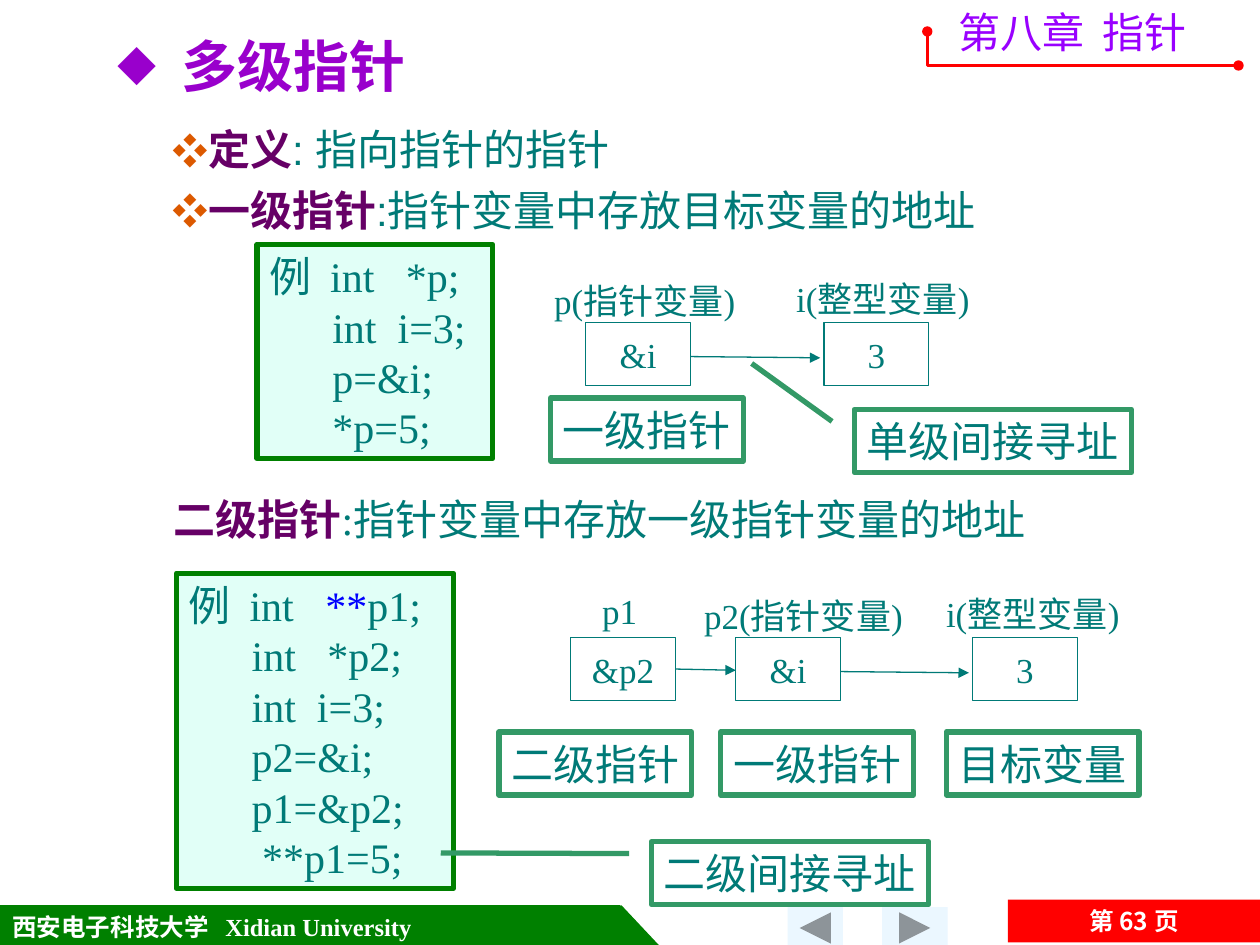
from lxml.etree import SubElement
from pptx import Presentation
from pptx.dml.color import RGBColor
from pptx.enum.shapes import MSO_CONNECTOR, MSO_SHAPE
from pptx.enum.text import MSO_ANCHOR, MSO_AUTO_SIZE, PP_ALIGN
from pptx.oxml.ns import qn
from pptx.util import Pt

PX = 9144  # one hundredth of an inch
SERIF, SANS, CHINESE = "Times New Roman", "Arial", "Noto Sans CJK SC"
TEAL, GREEN, SEA, PLUM = "007A77", "008000", "339966", "660066"
VIOLET, RED, WHITE, MINT = "9900CC", "FF0000", "FFFFFF", "E1FFF7"


def colour(text):
    return RGBColor.from_string(text)


class Slide:
    def __init__(self, page):
        self.page = page

    def paint(self, shape, fill=None, line=None, width=0.75):
        shape.shadow.inherit = False
        if fill:
            shape.fill.solid()
            shape.fill.fore_color.rgb = colour(fill)
        else:
            shape.fill.background()
        if line:
            shape.line.color.rgb = colour(line)
            shape.line.width = Pt(width)
        else:
            shape.line.fill.background()

    def line_ends(self, shape, **ends):
        line = shape.line._get_or_add_ln()
        for end, kind in ends.items():
            SubElement(line, qn(f"a:{end}End"), type=kind)

    def bullet(self, para, char, tint, percent, left, hanging):
        props = para._p.get_or_add_pPr()
        props.set("marL", str(left * PX))
        props.set("indent", str(-hanging * PX))
        SubElement(SubElement(props, qn("a:buClr")), qn("a:srgbClr"), val=tint)
        SubElement(props, qn("a:buSzPct"), val=str(percent * 1000))
        SubElement(props, qn("a:buFont"), typeface=CHINESE)
        SubElement(props, qn("a:buChar"), char=char)

    def set_text(self, shape, lines, size, tint=TEAL, font=SERIF, align=PP_ALIGN.LEFT,
                 anchor=MSO_ANCHOR.TOP, wrap=False, bold=False, before=0, bullet=None, tab=0):
        """Each line is a string or a list of (text, colour, bold) spans."""
        frame = shape.text_frame
        frame.word_wrap = wrap
        frame.auto_size = MSO_AUTO_SIZE.NONE
        frame.vertical_anchor = anchor
        for number, line in enumerate(lines):
            para = frame.paragraphs[0] if number == 0 else frame.add_paragraph()
            para.alignment = align
            para.line_spacing = Pt(size * 1.2)
            para.space_before = Pt(before if number else 0)
            if bullet:
                self.bullet(para, *bullet)
            if tab:
                stops = SubElement(para._p.get_or_add_pPr(), qn("a:tabLst"))
                SubElement(stops, qn("a:tab"), pos=str(tab * PX), algn="l")
            para.font.name, para.font.size = font, Pt(size)
            if isinstance(line, str):
                para.font.bold = bold
                para.font.color.rgb = colour(tint)
                para.add_run().text = line
                continue
            for text, span_tint, span_bold in line:
                span = para.add_run()
                span.text = text
                span.font.bold = span_bold
                span.font.color.rgb = colour(span_tint)

    def title(self, text, x, y, w, h):
        box = self.page.shapes.title
        box.left, box.top, box.width, box.height = (v * PX for v in (x, y, w, h))
        self.set_text(box, [text], 32, VIOLET, SANS, anchor=MSO_ANCHOR.BOTTOM,
                      wrap=True, bold=True, bullet=("◆", VIOLET, 70, 51, 51))

    def text(self, lines, x, y, w, h, size, **style):
        box = self.page.shapes.add_textbox(x * PX, y * PX, w * PX, h * PX)
        self.set_text(box, lines, size, **style)

    def shape(self, kind, x, y, w, h, fill=None, line=None, width=0.75):
        shape = self.page.shapes.add_shape(kind, x * PX, y * PX, w * PX, h * PX)
        self.paint(shape, fill, line, width)
        return shape

    def code(self, lines, x, y, w, h):
        self.set_text(self.shape(MSO_SHAPE.RECTANGLE, x, y, w, h, MINT, GREEN, 3), lines, 24)

    def cell(self, text, x, y):
        box = self.shape(MSO_SHAPE.RECTANGLE, x, y, 83, 50, line=TEAL)
        self.set_text(box, [text], 20, align=PP_ALIGN.CENTER, anchor=MSO_ANCHOR.MIDDLE)

    def tag(self, text, x, y, w=153, pointer=None):
        kind = MSO_SHAPE.LINE_CALLOUT_1 if pointer else MSO_SHAPE.RECTANGLE
        box = self.shape(kind, x, y, w, 50, WHITE, SEA, 3)
        for index, value in enumerate(pointer or ()):
            box.adjustments[index] = value
        self.set_text(box, [text], 24, align=PP_ALIGN.CENTER, anchor=MSO_ANCHOR.MIDDLE)

    def arrow(self, *ends):
        line = self.page.shapes.add_connector(MSO_CONNECTOR.STRAIGHT, *(v * PX for v in ends))
        line.line.color.rgb = colour(TEAL)
        line.line.width = Pt(0.75)
        self.line_ends(line, tail="triangle")
        SubElement(line._element.spPr, qn("a:effectLst"))

    def corner(self, points):
        builder = self.page.shapes.build_freeform(*points[0], scale=PX)
        builder.add_line_segments(points[1:], close=False)
        shape = builder.convert_to_shape()
        self.paint(shape, line=RED, width=1.5)
        self.line_ends(shape, head="oval", tail="oval")


def main():
    deck = Presentation()
    deck.slide_width, deck.slide_height = 1000 * PX, 750 * PX
    slide = Slide(deck.slides.add_slide(deck.slide_layouts[5]))

    # Footer band, navigation buttons and page number
    band = slide.shape(MSO_SHAPE.RECTANGLE, 0, 719, 492, 33, GREEN, GREEN)
    slide.set_text(band, ["西安电子科技大学\tXidian University"], 14, WHITE,
                   anchor=MSO_ANCHOR.MIDDLE, wrap=True, bold=True, tab=169)
    slide.shape(MSO_SHAPE.RIGHT_TRIANGLE, 493, 719, 31, 33, GREEN, GREEN)
    for x, w, turn in ((700, 52, 0), (625, 44, 180)):
        button = slide.shape(MSO_SHAPE.ACTION_BUTTON_FORWARD_OR_NEXT, x, 720, w, 33, "EBF7FF")
        button.rotation = turn
    number = slide.shape(MSO_SHAPE.RECTANGLE, 800, 714, 200, 34, RED)
    slide.set_text(number, ["第 63 页"], 14, WHITE, CHINESE, PP_ALIGN.CENTER,
                   MSO_ANCHOR.MIDDLE, bold=True)

    # Title and chapter mark
    slide.title("多级指针", 83, 28, 457, 55)
    slide.text(["第八章\t指针"], 751, 0, 220, 50, 24, tint="9900FF", font=CHINESE, tab=114)
    slide.corner([(736, 25), (736, 52), (983, 52)])

    # Definitions
    slide.text([[("定义", PLUM, True), (": 指向指针的指针", TEAL, False)],
                [("一级指针", PLUM, True), (":指针变量中存放目标变量的地址", TEAL, False)]],
               27, 93, 943, 100, 24, font=SANS, wrap=True, before=6,
               bullet=("❖", "DC5900", 85, 125, 25))
    slide.text([[("二级指针", PLUM, True), (":指针变量中存放一级指针变量的地址", TEAL, False)]],
               128, 387, 843, 60, 24, wrap=True)

    # Code examples
    slide.code(["例  int   *p;", "      int  i=3;", "      p=&i;", "      *p=5;"],
               204, 194, 187, 170)
    slide.code([[("例  int  ", TEAL, False), (" **", "0000FF", False), ("p1;", TEAL, False)],
                "      int   *p2;", "      int  i=3;", "      p2=&i;", "      p1=&p2;",
                "       **p1=5;"], 140, 455, 220, 250)

    # Memory cells with their names
    for text, x, y in (("&i", 465, 256), ("3", 654, 256),
                       ("&p2", 453, 506), ("&i", 584, 506), ("3", 772, 506)):
        slide.cell(text, x, y)
    for text, x, y, w in (("p(指针变量)", 430, 217, 177), ("i(整型变量)", 622, 215, 171),
                          ("p1", 468, 463, 48), ("p2(指针变量)", 549, 467, 191),
                          ("i(整型变量)", 741, 465, 171)):
        slide.text([text], x, y, w, 44, 20)
    for ends in ((548, 283, 651, 284), (536, 531, 584, 532), (667, 533, 769, 534)):
        slide.arrow(*ends)

    # Tags and callouts
    for text, x, y in (("一级指针", 437, 316), ("二级指针", 396, 581),
                       ("一级指针", 572, 581), ("目标变量", 751, 581)):
        slide.tag(text, x, y)
    slide.tag("单级间接寻址", 678, 325, 220, (0.19, -0.08, -0.73, -0.37))
    slide.tag("二级间接寻址", 517, 668, 220, (0.19, -0.08, 0.18, -0.76))

    deck.save("out.pptx")


if __name__ == "__main__":
    main()
